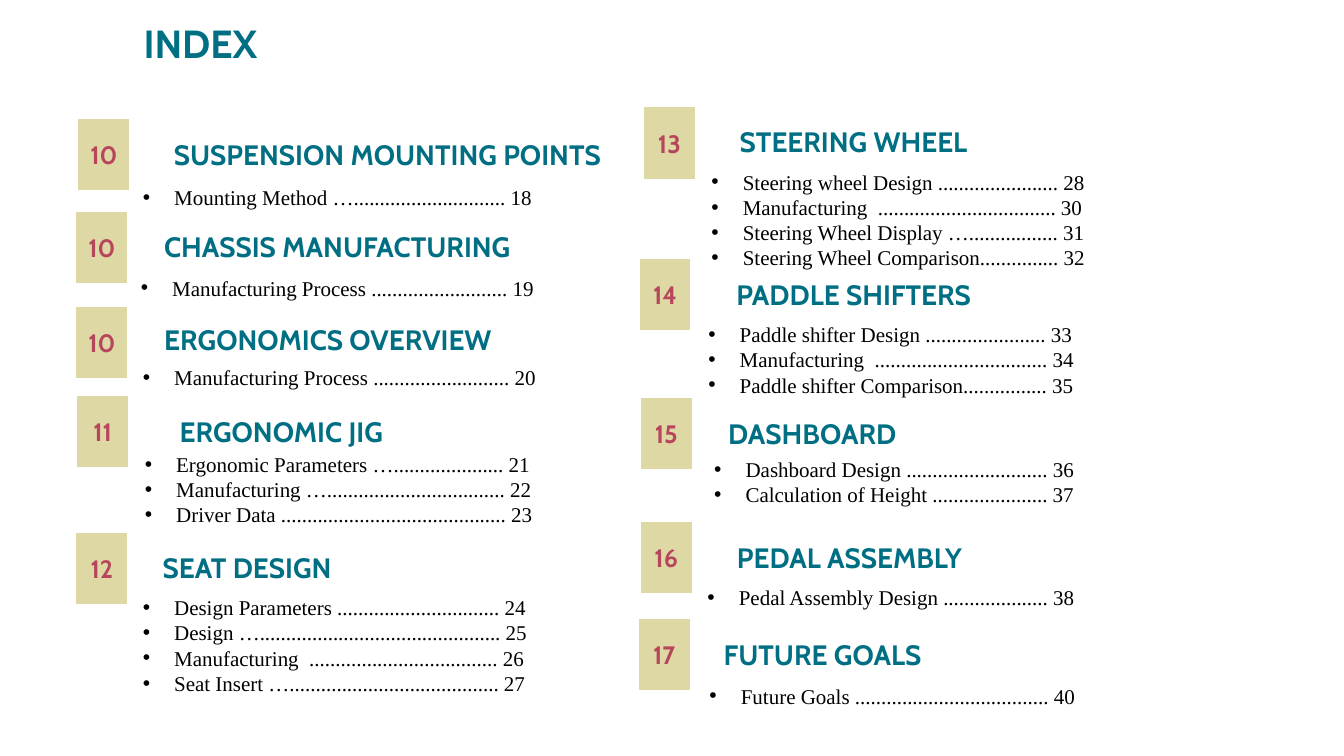
import pptx
import pptx.dml.color
import pptx.enum.shapes
import pptx.enum.text
import pptx.util
import lxml.etree
from pptx.oxml.ns import qn

Cm = pptx.util.Cm
Pt = pptx.util.Pt
RGBColor = pptx.dml.color.RGBColor
ALIGN = pptx.enum.text.PP_ALIGN
ANCHOR = pptx.enum.text.MSO_ANCHOR

TEAL = RGBColor(0x00, 0x6F, 0x83)
SAND = RGBColor(0xDE, 0xD8, 0xA4)
ROSE = RGBColor(0xB7, 0x45, 0x5B)
BLACK = RGBColor(0x00, 0x00, 0x00)
WHITE = RGBColor(0xFF, 0xFF, 0xFF)

HEADING_FONT = "Cabin"
ENTRY_FONT = "Times New Roman"

TITLE = "INDEX"
TITLE_BOX = (1.24, 0.36, 7.62, 1.45)

# number, badge (left, top), heading, heading (left, top, width), list (left, top, width), entries
SECTIONS = [
    ("10", (1.96, 2.97), "SUSPENSION MOUNTING POINTS", (3.48, 3.33, 12.57), (3.35, 4.52, 11.66), [
        "Mounting Method …............................. 18",
    ]),
    ("10", (1.91, 5.33), "CHASSIS MANUFACTURING", (3.1, 5.66, 10.8), (3.3, 6.81, 11.66), [
        "Manufacturing Process .......................... 19",
    ]),
    ("10", (1.91, 7.72), "ERGONOMICS OVERVIEW", (3.35, 8, 9.83), (3.35, 9.07, 11.66), [
        "Manufacturing Process .......................... 20",
    ]),
    ("11", (1.93, 9.96), "ERGONOMIC JIG", (1.68, 10.31, 10.82), (3.4, 11.25, 12.07), [
        "Ergonomic Parameters …..................... 21",
        "Manufacturing ….................................. 22",
        "Driver Data ........................................... 23",
    ]),
    ("12", (1.91, 13.41), "SEAT DESIGN", (1.19, 13.74, 10.08), (3.35, 14.86, 12.12), [
        "Design Parameters ............................... 24",
        "Design ….............................................. 25",
        "Manufacturing  .................................... 26",
        "Seat Insert …........................................ 27",
    ]),
    ("13", (16.21, 2.69), "STEERING WHEEL ", (16.13, 3.02, 10.92), (17.68, 4.14, 12.07), [
        "Steering wheel Design ....................... 28",
        "Manufacturing  .................................. 30",
        "Steering Wheel Display …................. 31",
        "Steering Wheel Comparison............... 32",
    ]),
    ("14", (16.1, 6.5), "PADDLE SHIFTERS", (16.69, 6.88, 9.65), (17.6, 7.98, 12.07), [
        "Paddle shifter Design ....................... 33",
        "Manufacturing  ................................. 34",
        "Paddle shifter Comparison................ 35",
    ]),
    ("15", (16.13, 10.01), "DASHBOARD ", (15.09, 10.36, 10.92), (17.75, 11.38, 12.07), [
        "Dashboard Design ........................... 36",
        "Calculation of Height ...................... 37",
    ]),
    ("16", (16.13, 13.13), "PEDAL ASSEMBLY", (15.95, 13.49, 10.92), (17.58, 14.61, 12.07), [
        "Pedal Assembly Design .................... 38",
    ]),
    ("17", (16.08, 15.57), "FUTURE GOALS", (15.93, 15.95, 9.6), (17.63, 17.09, 12.07), [
        "Future Goals ..................................... 40",
    ]),
]

BADGE_SIZE = (1.32, 1.83)
HEADING_HEIGHT = 1.12
LINE_HEIGHT = 0.64
LIST_PADDING = 0.25
BULLET_INDENT = 0.79


def add_text(slide, lines, *, box, size, color, font=HEADING_FONT, bold=True,
             align=ALIGN.CENTER, anchor=ANCHOR.TOP, fill=None, bullet=None):
    place = [Cm(length) for length in box]
    if fill is None:
        shape = slide.shapes.add_textbox(*place)
    else:
        shape = slide.shapes.add_shape(pptx.enum.shapes.MSO_SHAPE.RECTANGLE, *place)
        shape.shadow.inherit = False
        shape.fill.solid()
        shape.fill.fore_color.rgb = fill
        shape.line.color.rgb = WHITE
        shape.line.width = Pt(1)
    frame = shape.text_frame
    frame.word_wrap = True
    frame.vertical_anchor = anchor
    frame.text = "\n".join(lines)
    for paragraph in frame.paragraphs:
        paragraph.alignment = align
        if bullet:
            properties = paragraph._p.get_or_add_pPr()
            properties.set("marL", str(Cm(BULLET_INDENT)))
            properties.set("indent", str(-Cm(BULLET_INDENT)))
            lxml.etree.SubElement(properties, qn("a:buFont")).set("typeface", "Arial")
            lxml.etree.SubElement(properties, qn("a:buChar")).set("char", bullet)
        for run in paragraph.runs:
            run.font.name = font
            run.font.size = Pt(size)
            run.font.bold = bold
            run.font.color.rgb = color


def main():
    presentation = pptx.Presentation()
    presentation.slide_width = Cm(33.87)
    presentation.slide_height = Cm(19.05)
    slide = presentation.slides.add_slide(presentation.slide_layouts[6])

    add_text(slide, [TITLE], box=TITLE_BOX, size=28, color=TEAL)
    for number, badge, heading, heading_place, list_place, entries in SECTIONS:
        add_text(slide, [number], box=badge + BADGE_SIZE, size=18, color=ROSE,
                 anchor=ANCHOR.MIDDLE, fill=SAND)
        add_text(slide, [heading], box=heading_place + (HEADING_HEIGHT,), size=20, color=TEAL)
        list_height = LIST_PADDING + LINE_HEIGHT * len(entries)
        add_text(slide, entries, box=list_place + (list_height,), size=15, color=BLACK,
                 font=ENTRY_FONT, bold=False, align=ALIGN.LEFT, bullet="•")

    presentation.save("out.pptx")


if __name__ == "__main__":
    main()
